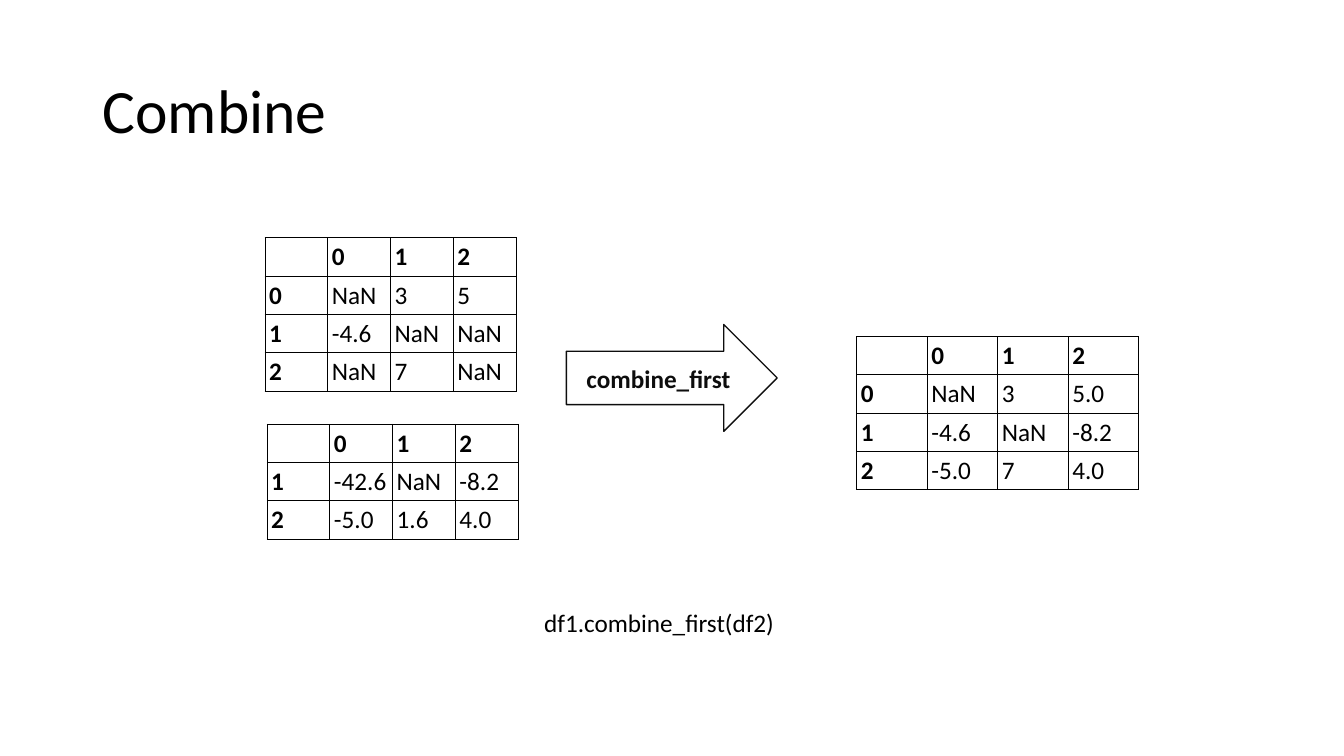
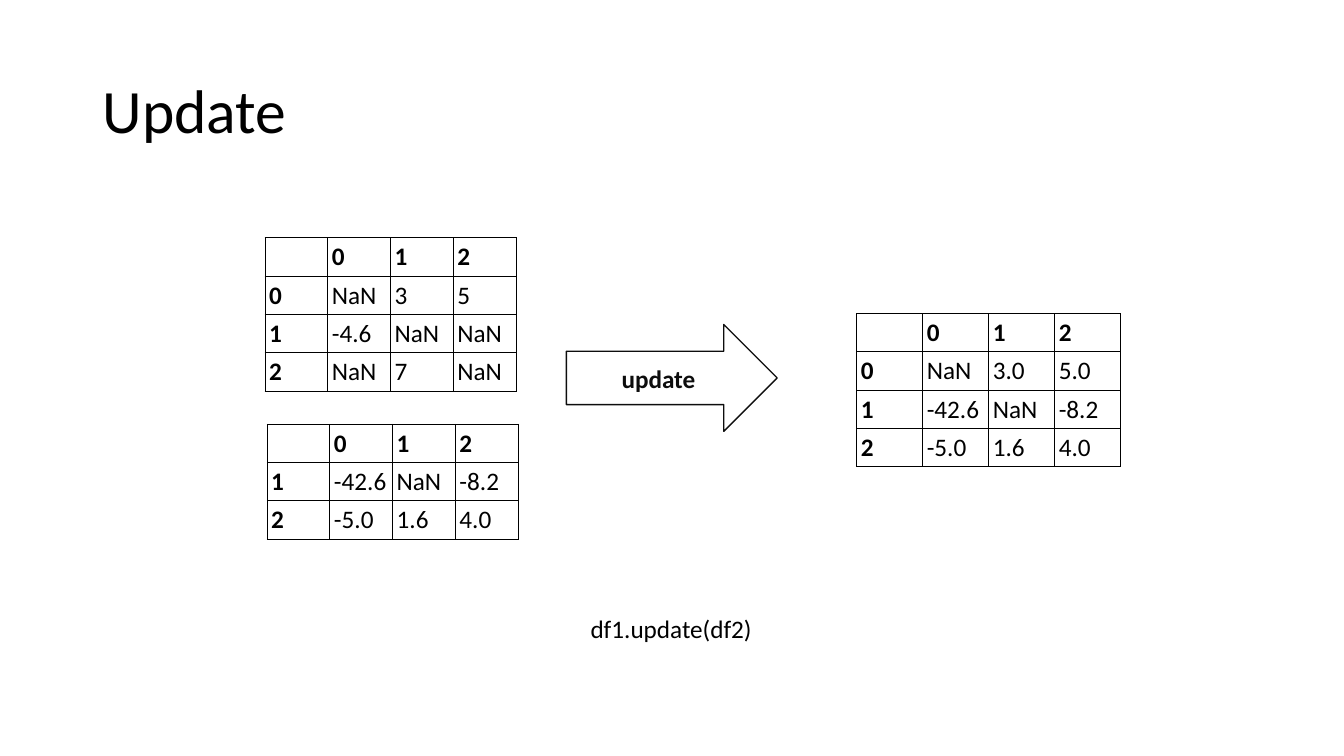
from dataclasses import dataclass

from lxml import etree
from pptx import Presentation
from pptx.dml.color import RGBColor
from pptx.enum.shapes import MSO_SHAPE
from pptx.enum.text import MSO_ANCHOR, MSO_AUTO_SIZE, PP_ALIGN
from pptx.oxml.ns import qn
from pptx.util import Inches, Pt

RIGHT_ARROW = MSO_SHAPE.RIGHT_ARROW
MIDDLE = MSO_ANCHOR.MIDDLE
CENTER = PP_ALIGN.CENTER
FIT_SHAPE = MSO_AUTO_SIZE.SHAPE_TO_FIT_TEXT
BLANK_LAYOUT = 6
WIDTH, HEIGHT = Inches(13.333), Inches(7.5)


@dataclass(frozen=True)
class Theme:
    font: str = "Calibri"
    text: str = "000000"
    arrow: str = "0D0D0D"
    paper: str = "FFFFFF"
    title_size: int = 44
    body_size: int = 18
    border: float = 0.75
    arrow_line: float = 1
    cell_inset: float = 0.04


THEME = Theme()

# Places as percentages of the slide: left, top, width, height
TITLE_AREA = (6.9, 5.33, 86.25, 19.33)
ARROW_AREA = (42.15, 42.93, 15.68, 14.13)
ROW_SHARE = 5.07

# Input frames, shared by both slides: left, top, width, rows
INPUT_FRAMES = [
    (19.73, 31.47, 18.68, [
        ["", "0", "1", "2"],
        ["0", "NaN", "3", "5"],
        ["1", "-4.6", "NaN", "NaN"],
        ["2", "NaN", "7", "NaN"],
    ]),
    (19.88, 56.13, 18.68, [
        ["", "0", "1", "2"],
        ["1", "-42.6", "NaN", "-8.2"],
        ["2", "-5.0", "1.6", "4.0"],
    ]),
]

COMBINED_FRAME = (63.75, 44.53, 21, [
    ["", "0", "1", "2"],
    ["0", "NaN", "3", "5.0"],
    ["1", "-4.6", "NaN", "-8.2"],
    ["2", "-5.0", "7", "4.0"],
])
UPDATED_FRAME = (63.75, 41.47, 19.65, [
    ["", "0", "1", "2"],
    ["0", "NaN", "3.0", "5.0"],
    ["1", "-42.6", "NaN", "-8.2"],
    ["2", "-5.0", "1.6", "4.0"],
])


def across(share):
    return int(WIDTH * share / 100)


def down(share):
    return int(HEIGHT * share / 100)


def place(left, top, width, height):
    return across(left), down(top), across(width), down(height)


def color(value):
    return RGBColor.from_string(value)


def write(frame, text, size=THEME.body_size, ink=THEME.text, bold=False):
    """Put one styled paragraph into a text frame and return it."""
    para = frame.paragraphs[0]
    para.font.name = THEME.font
    para.font.size = Pt(size)
    para.font.bold = bold
    para.font.color.rgb = color(ink)
    para.text = text
    return para


def add_title(page, text):
    frame = page.shapes.add_textbox(*place(*TITLE_AREA)).text_frame
    frame.word_wrap = True
    frame.vertical_anchor = MIDDLE
    write(frame, text, THEME.title_size).line_spacing = 0.9


def add_caption(page, text, area):
    frame = page.shapes.add_textbox(*place(*area)).text_frame
    frame.word_wrap = False
    frame.auto_size = FIT_SHAPE
    write(frame, text)


def add_arrow(page, text):
    arrow = page.shapes.add_shape(RIGHT_ARROW, *place(*ARROW_AREA))
    arrow.shadow.inherit = False
    arrow.fill.solid()
    arrow.fill.fore_color.rgb = color(THEME.paper)
    arrow.line.color.rgb = color(THEME.arrow)
    arrow.line.width = Pt(THEME.arrow_line)
    arrow.text_frame.vertical_anchor = MIDDLE
    para = write(arrow.text_frame, text, ink=THEME.arrow, bold=True)
    para.alignment = CENTER


def add_borders(cell):
    """Outline a cell; edges come before the fill in its properties."""
    properties = cell._tc.get_or_add_tcPr()
    for index, edge in enumerate(("a:lnL", "a:lnR", "a:lnT", "a:lnB")):
        line = etree.Element(qn(edge), w=str(Pt(THEME.border)))
        fill = etree.SubElement(line, qn("a:solidFill"))
        etree.SubElement(fill, qn("a:srgbClr"), val=THEME.text)
        properties.insert(index, line)


def style_cell(cell, text, bold):
    inset = Inches(THEME.cell_inset)
    cell.margin_left = cell.margin_right = inset
    cell.margin_top = cell.margin_bottom = inset
    cell.vertical_anchor = MIDDLE
    cell.fill.solid()
    cell.fill.fore_color.rgb = color(THEME.paper)
    add_borders(cell)
    write(cell.text_frame, text, bold=bold)


def add_frame(page, left, top, width, rows):
    """Draw a data frame with bold column and row labels."""
    count = len(rows[0])
    area = place(left, top, width, ROW_SHARE * len(rows))
    table = page.shapes.add_table(len(rows), count, *area).table
    table.first_row = table.horz_banding = False
    for row_index, row in enumerate(rows):
        for column_index, text in enumerate(row):
            is_label = row_index == 0 or column_index == 0
            style_cell(table.cell(row_index, column_index), text, is_label)


def add_page(deck, title, method, result, caption_area):
    page = deck.slides.add_slide(deck.slide_layouts[BLANK_LAYOUT])
    add_title(page, title)
    for frame in [*INPUT_FRAMES, result]:
        add_frame(page, *frame)
    add_arrow(page, method)
    add_caption(page, f"df1.{method}(df2)", caption_area)


def main():
    deck = Presentation()
    deck.slide_width, deck.slide_height = WIDTH, HEIGHT
    add_page(deck, "Combine", "combine_first", COMBINED_FRAME,
             (39.75, 79.73, 18.83, 5.33))
    add_page(deck, "Update", "update", UPDATED_FRAME,
             (43.2, 80.53, 13.65, 5.33))
    deck.save("out.pptx")


if __name__ == "__main__":
    main()
